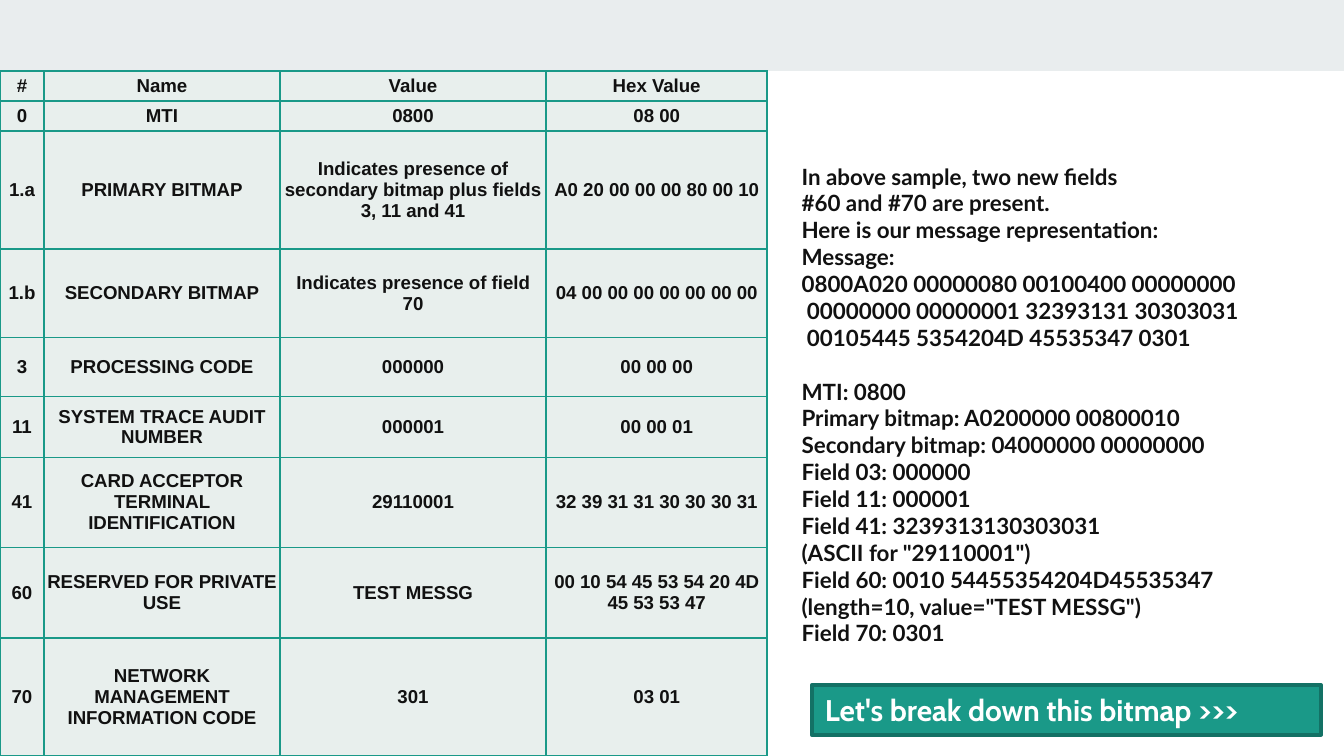
"""Build the slide that lists the fields of a sample message with two bitmaps."""
from dataclasses import dataclass
from typing import Any, NamedTuple

from lxml.etree import SubElement
from pptx import Presentation
from pptx.dml.color import RGBColor as Rgb
from pptx.enum.shapes import MSO_SHAPE as Preset
from pptx.enum.text import MSO_ANCHOR as Anchor, PP_ALIGN as Align
from pptx.oxml import parse_xml
from pptx.oxml.ns import qn
from pptx.util import Cm, Pt


@dataclass(frozen=True)
class Theme:
    """Colours, fonts and type sizes of the slide."""
    band: Rgb = Rgb.from_string("E9EDEE")
    cell: Rgb = Rgb.from_string("E8EFED")
    teal: Rgb = Rgb.from_string("1A9988")
    dark_teal: Rgb = Rgb.from_string("137165")
    ink: Rgb = Rgb.from_string("111111")
    white: Rgb = Rgb.from_string("FFFFFF")
    table_font: str = "Arial"
    body_font: str = "Lato"
    button_font: str = "Cabin"
    table_size: Pt = Pt(10)
    body_size: Pt = Pt(12)
    button_size: Pt = Pt(16)
    line_gap: Pt = Pt(14.4)
    grid_line: Pt = Pt(1)
    button_line: Pt = Pt(2)


class Box(NamedTuple):
    """Place and size in centimetres."""
    left: float
    top: float
    width: float
    height: float


class Field(NamedTuple):
    """One table row: its height in centimetres and its four texts."""
    height: float
    number: str
    name: str
    value: str
    hex_value: str


THEME = Theme()
SLIDE_WIDTH, SLIDE_HEIGHT = 25.4, 14.29
BAND = Box(0, 0, SLIDE_WIDTH, 1.34)
BUTTON = Box(15.34, 12.95, 9.63, 0.94)
EXPLANATION = Box(14.9, 2.95, 9.8, 9.5)
COLUMN_WIDTHS = (0.83, 4.46, 5.03, 4.18)
FIELDS = (
    Field(0.57, "#", "Name", "Value", "Hex Value"),
    Field(0.57, "0", "MTI", "0800", "08 00"),
    Field(2.23, "1.a", "PRIMARY BITMAP",
          "Indicates presence of secondary bitmap plus fields 3, 11 and 41", "A0 20 00 00 00 80 00 10"),
    Field(1.67, "1.b", "SECONDARY BITMAP", "Indicates presence of field\n70", "04 00 00 00 00 00 00 00"),
    Field(1.12, "3", "PROCESSING CODE", "000000", "00 00 00"),
    Field(1.15, "11", "SYSTEM TRACE AUDIT NUMBER", "000001", "00 00 01"),
    Field(1.7, "41", "CARD ACCEPTOR TERMINAL IDENTIFICATION", "29110001", "32 39 31 31 30 30 30 31"),
    Field(1.71, "60", "RESERVED FOR PRIVATE\nUSE", "TEST MESSG", "00 10 54 45 53 54 20 4D 45 53 53 47"),
    Field(2.23, "70", "NETWORK MANAGEMENT INFORMATION CODE", "301", "03 01"),
)
INTRODUCTION = (
    "In above sample, two new fields",
    "#60 and #70 are present.",
    "Here is our message representation:",
)
MESSAGE = (
    "Message:",
    "0800A020 00000080 00100400 00000000",
    " 00000000 00000001 32393131 30303031",
    " 00105445 5354204D 45535347 0301",
)
BREAKDOWN = (
    "MTI: 0800",
    "Primary bitmap: A0200000 00800010",
    "Secondary bitmap: 04000000 00000000",
    "Field 03: 000000",
    "Field 11: 000001",
    "Field 41: 3239313130303031",
    '(ASCII for "29110001")',
    "Field 60: 0010 54455354204D45535347",
    '(length=10, value="TEST MESSG")',
    "Field 70: 0301",
)


def set_all(target: Any, values: dict[str, Any]) -> None:
    """Set each named attribute on the target."""
    for attribute, value in values.items():
        setattr(target, attribute, value)


def format_text(frame: Any, font: str, size: Pt, color: Rgb, align: Align) -> None:
    """Give every paragraph of a text frame the same bold type."""
    for paragraph in frame.paragraphs:
        paragraph.alignment = align
        for run in paragraph.runs:
            set_all(run.font, {"name": font, "size": size, "bold": True})
            run.font.color.rgb = color


def add_panel(slide: Any, box: Box, fill: Rgb) -> Any:
    """Draw a flat rectangle without an outline."""
    panel = slide.shapes.add_shape(Preset.RECTANGLE, *map(Cm, box))
    panel.shadow.inherit = False
    panel.fill.solid()
    panel.fill.fore_color.rgb = fill
    panel.line.fill.background()
    return panel


def add_borders(cell: Any) -> None:
    """Draw the grid line on all four sides of a cell."""
    properties = cell._tc.get_or_add_tcPr()
    namespace = "http://schemas.openxmlformats.org/drawingml/2006/main"
    for position, side in enumerate("LRTB"):
        border = parse_xml(f'<a:ln{side} xmlns:a="{namespace}" w="{THEME.grid_line}"/>')
        solid = SubElement(border, qn("a:solidFill"))
        SubElement(solid, qn("a:srgbClr"), val=str(THEME.teal))
        properties.insert(position, border)


def add_field_table(slide: Any, fields: tuple[Field, ...]) -> None:
    """Draw the table of message fields below the band."""
    height = sum(field.height for field in fields)
    box = Box(0, BAND.height, sum(COLUMN_WIDTHS), height)
    table = slide.shapes.add_table(len(fields), len(COLUMN_WIDTHS), *map(Cm, box)).table
    for column, width in zip(table.columns, COLUMN_WIDTHS):
        column.width = Cm(width)
    margins = dict.fromkeys(("margin_left", "margin_right", "margin_top", "margin_bottom"), 0)
    for row, (row_height, *texts) in zip(table.rows, fields):
        row.height = Cm(row_height)
        for cell, text in zip(row.cells, texts):
            set_all(cell, {"text": text, "vertical_anchor": Anchor.MIDDLE, **margins})
            cell.fill.solid()
            cell.fill.fore_color.rgb = THEME.cell
            format_text(cell.text_frame, THEME.table_font, THEME.table_size, THEME.ink, Align.CENTER)
            add_borders(cell)


def add_explanation(slide: Any) -> None:
    """Write the message and its breakdown beside the table."""
    frame = slide.shapes.add_textbox(*map(Cm, EXPLANATION)).text_frame
    set_all(frame, {"word_wrap": True, "text": "\n".join(INTRODUCTION + MESSAGE + BREAKDOWN)})
    format_text(frame, THEME.body_font, THEME.body_size, THEME.ink, Align.LEFT)
    for paragraph in frame.paragraphs[:len(INTRODUCTION)]:
        paragraph.alignment = Align.JUSTIFY
    frame.paragraphs[-len(BREAKDOWN)].space_before = THEME.line_gap


def add_button(slide: Any) -> None:
    """Draw the outlined call to go on."""
    button = add_panel(slide, BUTTON, THEME.teal)
    button.line.color.rgb = THEME.dark_teal
    button.line.width = THEME.button_line
    set_all(button.text_frame, {"text": "Let's break down this bitmap >>>", "word_wrap": True})
    format_text(button.text_frame, THEME.button_font, THEME.button_size, THEME.white, Align.LEFT)


def main() -> None:
    """Build and save the presentation."""
    presentation = Presentation()
    set_all(presentation, {"slide_width": Cm(SLIDE_WIDTH), "slide_height": Cm(SLIDE_HEIGHT)})
    slide = presentation.slides.add_slide(presentation.slide_layouts[6])
    add_panel(slide, BAND, THEME.band)
    add_field_table(slide, FIELDS)
    add_explanation(slide)
    add_button(slide)
    presentation.save("out.pptx")


if __name__ == "__main__":
    main()
